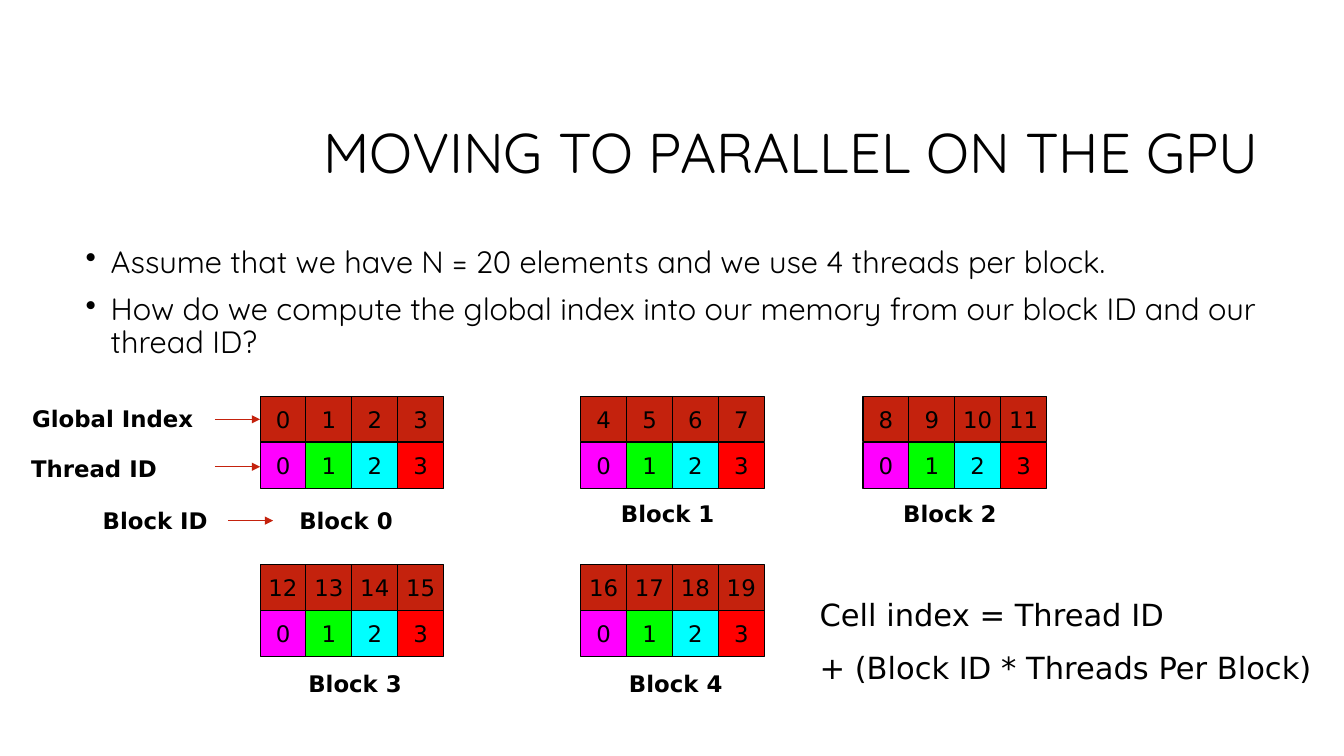
import dataclasses

import pptx
import pptx.dml.color
import pptx.enum.shapes
import pptx.enum.text
import pptx.oxml.ns
import pptx.util
from lxml import etree

SLIDE_WIDTH = pptx.util.Inches(13.33)
SLIDE_HEIGHT = pptx.util.Inches(7.5)
COLUMN = SLIDE_WIDTH / 133.3
ROW = SLIDE_HEIGHT / 75
THREADS_PER_BLOCK = 4
CELL = 4.55

ALIGN = pptx.enum.text.PP_ALIGN
ANCHOR = pptx.enum.text.MSO_ANCHOR


@dataclasses.dataclass(frozen=True)
class Theme:
    ink: str = "000000"
    index: str = "C4220D"
    threads: tuple = ("FF00FF", "00FF00", "00FFFF", "FF0000")
    heading_font: str = "Quicksand"
    diagram_font: str = "DejaVu Sans"
    title_size: float = 40
    bullet_size: float = 22
    formula_size: float = 21.8
    label_size: float = 16.3
    line_width: float = 0.75


THEME = Theme()


def color(code):
    return pptx.dml.color.RGBColor.from_string(code)


def place(left, top, width, height):
    return [pptx.util.Emu(round(length * unit)) for length, unit in
            ((left, COLUMN), (top, ROW), (width, COLUMN), (height, ROW))]


def write(frame, lines, font, size, bold=False, align=ALIGN.LEFT, gap=0, spacing=1.0):
    for position, line in enumerate(lines):
        paragraph = frame.add_paragraph() if position else frame.paragraphs[0]
        paragraph.text = line
        paragraph.alignment = align
        paragraph.line_spacing = spacing
        if position:
            paragraph.space_before = pptx.util.Pt(gap)
        paragraph.font.name = font
        paragraph.font.size = pptx.util.Pt(size)
        paragraph.font.bold = bold
        paragraph.font.color.rgb = color(THEME.ink)


def add_text(slide, area, lines, font, size, anchor=ANCHOR.TOP, **style):
    frame = slide.shapes.add_textbox(*place(*area)).text_frame
    frame.word_wrap = True
    frame.vertical_anchor = anchor
    write(frame, lines, font, size, **style)
    return frame


def add_bullets(slide, area, lines):
    frame = add_text(slide, area, lines, THEME.heading_font, THEME.bullet_size,
                     gap=10, spacing=0.9)
    indent = pptx.util.Inches(0.25)
    for paragraph in frame.paragraphs:
        properties = paragraph._p.get_or_add_pPr()
        properties.set("marL", str(indent))
        properties.set("indent", str(-indent))
        bullet = etree.SubElement(properties, pptx.oxml.ns.qn("a:buChar"))
        bullet.set("char", "•")
        default_font = properties.find(pptx.oxml.ns.qn("a:defRPr"))
        if default_font is not None:
            default_font.addprevious(bullet)


def add_label(slide, left, top, text):
    add_text(slide, (left, top, 21.4, 3.8), [text], THEME.diagram_font,
             THEME.label_size, bold=True)


def add_cell(slide, left, top, number, fill):
    cell = slide.shapes.add_shape(pptx.enum.shapes.MSO_SHAPE.RECTANGLE,
                                  *place(left, top, CELL, CELL))
    cell.shadow.inherit = False
    cell.fill.solid()
    cell.fill.fore_color.rgb = color(fill)
    cell.line.color.rgb = color(THEME.ink)
    cell.line.width = pptx.util.Pt(THEME.line_width)
    cell.text_frame.word_wrap = False
    cell.text_frame.vertical_anchor = ANCHOR.MIDDLE
    write(cell.text_frame, [str(number)], THEME.diagram_font, THEME.label_size,
          align=ALIGN.CENTER)


def add_block(slide, block, left, top, label_left, label_top):
    for thread, thread_color in enumerate(THEME.threads):
        cell_left = left + thread * CELL
        global_index = thread + block * THREADS_PER_BLOCK
        add_cell(slide, cell_left, top, global_index, THEME.index)
        add_cell(slide, cell_left, top + 4.6, thread, thread_color)
    add_label(slide, label_left, label_top, f"Block {block}")


def add_arrow(slide, left, top):
    x, y, length, _ = place(left, top, 4.5, 0)
    arrow = slide.shapes.add_connector(pptx.enum.shapes.MSO_CONNECTOR.STRAIGHT,
                                       x, y, x + length, y)
    arrow.line.color.rgb = color(THEME.index)
    arrow.line.width = pptx.util.Pt(THEME.line_width)
    head = etree.SubElement(arrow.line._get_or_add_ln(), pptx.oxml.ns.qn("a:tailEnd"))
    head.set("type", "triangle")
    etree.SubElement(arrow._element.spPr, pptx.oxml.ns.qn("a:effectLst"))


def main():
    deck = pptx.Presentation()
    deck.slide_width = SLIDE_WIDTH
    deck.slide_height = SLIDE_HEIGHT
    slide = deck.slides.add_slide(deck.slide_layouts[6])

    add_text(slide, (28.7, 8.4, 97.1, 14.1), ["MOVING TO PARALLEL ON THE GPU"],
             THEME.heading_font, THEME.title_size, anchor=ANCHOR.MIDDLE,
             align=ALIGN.RIGHT, spacing=0.9)
    add_bullets(slide, (7.5, 24, 118.3, 44), [
        "Assume that we have N = 20 elements and we use 4 threads per block.",
        "How do we compute the global index into our memory from our block ID "
        "and our thread ID?",
    ])

    block_places = (
        (25.8, 39.3, 28.7, 49.8),
        (57.6, 39.3, 60.6, 49.1),
        (85.6, 39.3, 88.6, 49.1),
        (25.8, 56, 29.6, 65.9),
        (57.6, 56, 61.4, 65.9),
    )
    for block, block_place in enumerate(block_places):
        add_block(slide, block, *block_place)

    for name, left, top, arrow_left, arrow_top in (
        ("Global Index", 2.2, 39.7, 21.3, 41.6),
        ("Thread ID", 2.1, 44.6, 21.3, 46.3),
        ("Block ID", 9.2, 49.8, 22.6, 51.65),
    ):
        add_label(slide, left, top, name)
        add_arrow(slide, arrow_left, arrow_top)

    add_text(slide, (80.3, 58.6, 52.8, 10.2),
             ["Cell index = Thread ID", "+ (Block ID * Threads Per Block)"],
             THEME.diagram_font, THEME.formula_size, gap=12)

    deck.save("out.pptx")


main()
